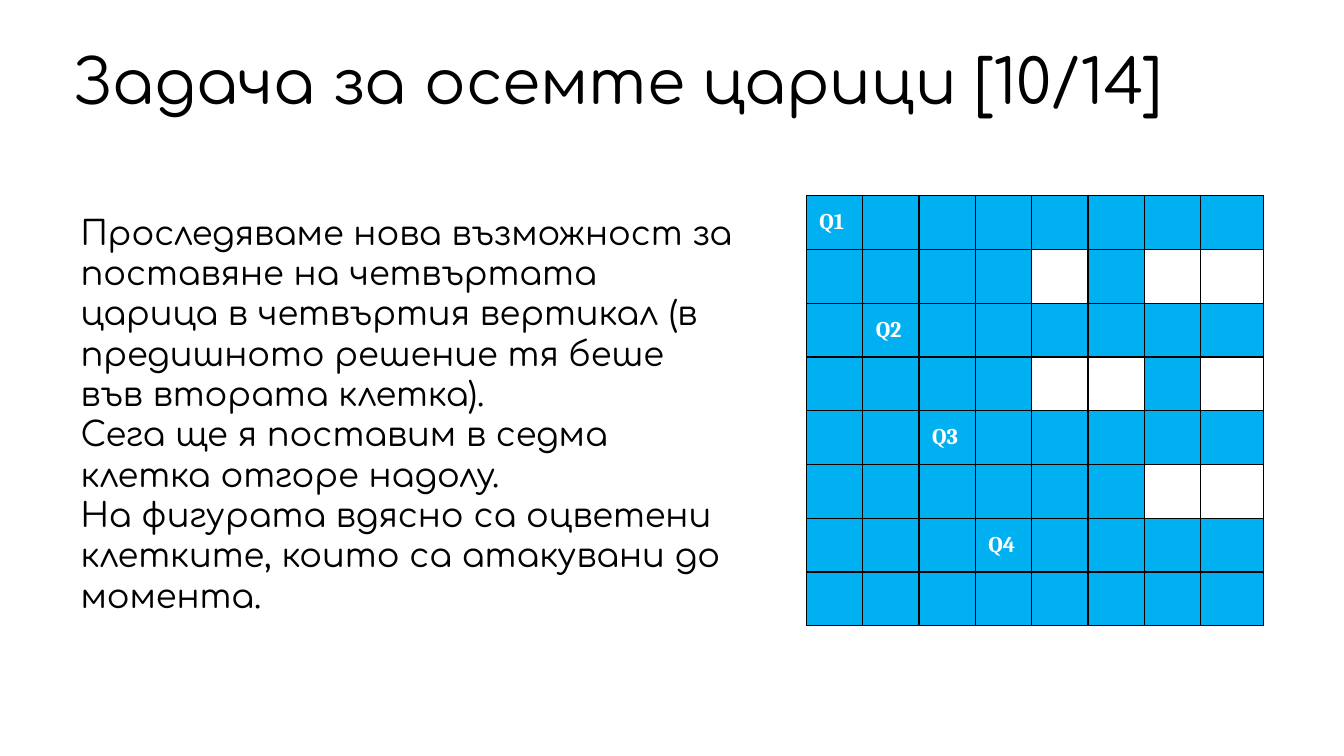
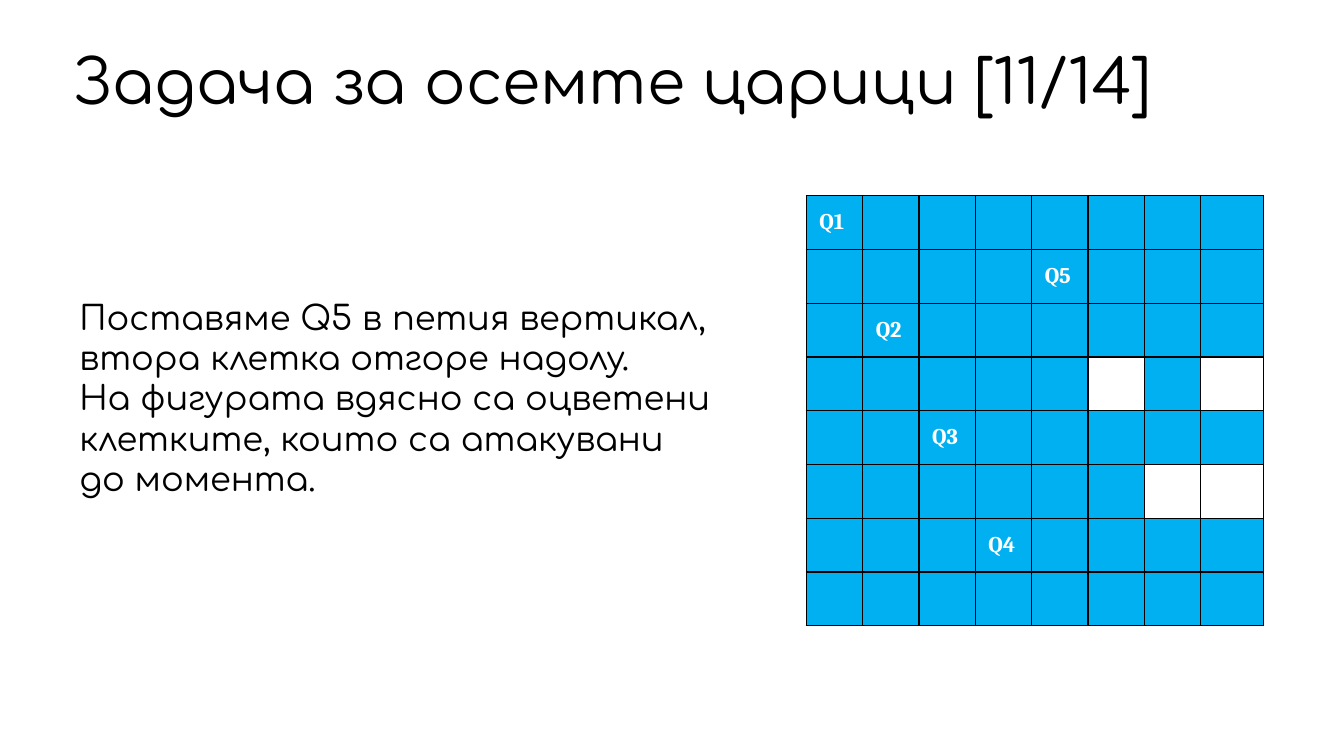
from collections import namedtuple
from dataclasses import dataclass

from lxml.etree import SubElement as Sub
from pptx import Presentation
from pptx.dml.color import RGBColor as Rgb
from pptx.enum.text import MSO_ANCHOR as Anchor, MSO_AUTO_SIZE as Auto, PP_ALIGN as Align
from pptx.oxml.ns import qn
from pptx.util import Cm, Pt

Box = namedtuple("Box", "x y w h")


@dataclass(frozen=True)
class Theme:
    ink: Rgb = Rgb(0, 0, 0)
    hit: Rgb = Rgb(0x00, 0xB0, 0xF0)
    free: Rgb = Rgb(255, 255, 255)
    mark: Rgb = Rgb(255, 255, 255)
    face: str = "Comfortaa"
    serif: str = "Cambria"
    head: int = 44
    body: int = 24
    cell: int = 16


LOOK = Theme()
SIZE = 8
HEAD = Box(1.55, 1.07, 30.78, 2.13)
BOARD = Box(20.32, 4.93, 11.53, 10.84)
COL = 1.42  # the last column takes the rest of the width
PAD = 0.33
TITLE = "Задача за осемте царици [{}/14]"
NOTE = "На фигурата вдясно са оцветени клетките, които са атакувани до момента."

# Queens as (row, column), in the order they are placed
FOUR = [(0, 0), (2, 1), (4, 2), (6, 3)]
PAGES = [
    (10, Box(1.73, 5.23, 17.07, 11.3), FOUR, [
        "Проследяваме нова възможност за поставяне на четвъртата царица в "
        "четвъртия вертикал (в предишното решение тя беше във втората клетка).",
        "Сега ще я поставим в седма клетка отгоре надолу.",
        NOTE,
    ]),
    (11, Box(1.7, 7.37, 16.51, 6.53), FOUR + [(1, 4)], [
        "Поставяме Q5 в петия вертикал, втора клетка отгоре надолу.",
        NOTE,
    ]),
]


def style(run, face, size, color, bold=False):
    font = run.font
    font.name, font.size, font.bold = face, Pt(size), bold
    font.color.rgb = color


def fill_in(shape, box, lines, size, anchor, gap):
    """Place a placeholder and write its paragraphs without bullets."""
    shape.left, shape.top, shape.width, shape.height = map(Cm, box)
    frame = shape.text_frame
    frame.word_wrap, frame.auto_size = True, Auto.NONE
    frame.vertical_anchor = anchor
    frame.margin_left = frame.margin_right = Cm(0.3)
    frame.margin_top = frame.margin_bottom = Cm(0.1)
    for num, line in enumerate(lines):
        para = frame.add_paragraph() if num else frame.paragraphs[0]
        props = para._p.get_or_add_pPr()
        props.set("marL", "0")
        props.set("indent", "0")
        Sub(props, qn("a:buNone"))
        para.alignment = Align.LEFT
        para.line_spacing = gap
        para.space_before = Pt(0)
        run = para.add_run()
        run.text = line
        style(run, LOOK.face, size, LOOK.ink)


def edge(cell):
    """Draw a thin line on all four sides, ahead of the cell's fill."""
    props = cell._tc.get_or_add_tcPr()
    for num, side in enumerate(("lnL", "lnR", "lnT", "lnB")):
        line = Sub(props, qn("a:" + side), w=str(Pt(1)))
        Sub(Sub(line, qn("a:solidFill")), qn("a:srgbClr"), val=str(LOOK.ink))
        props.insert(num, line)


def struck(row, col, queens):
    """Tell whether any queen holds or attacks the square."""
    return any(row == r or col == c or abs(row - r) == abs(col - c)
               for r, c in queens)


def board(slide, box, queens):
    """Draw the chessboard, with the attacked squares coloured."""
    frame = slide.shapes.add_table(SIZE, SIZE, *map(Cm, box))
    grid = frame.table
    grid.first_row = grid.horz_banding = False
    for num in range(SIZE):
        last = num == SIZE - 1
        grid.columns[num].width = Cm(box.w - COL * num if last else COL)
        grid.rows[num].height = Cm(box.h / SIZE)
    for row in range(SIZE):
        for col in range(SIZE):
            cell = grid.cell(row, col)
            cell.fill.solid()
            cell.fill.fore_color.rgb = LOOK.hit if struck(row, col, queens) else LOOK.free
            edge(cell)
    # Queen labels
    for num, spot in enumerate(queens, 1):
        cell = grid.cell(*spot)
        cell.vertical_anchor = Anchor.MIDDLE
        cell.margin_left = cell.margin_right = Cm(PAD)
        run = cell.text_frame.paragraphs[0].add_run()
        run.text = f"Q{num}"
        style(run, LOOK.serif, LOOK.cell, LOOK.mark, True)


def page(deck, num, box, queens, lines):
    """Add one step of the solution: title, text and board."""
    slide = deck.slides.add_slide(deck.slide_layouts[1])
    fill_in(slide.shapes.title, HEAD, [TITLE.format(num)], LOOK.head, Anchor.MIDDLE, 0.9)
    fill_in(slide.placeholders[1], box, lines, LOOK.body, Anchor.TOP, 1.0)
    board(slide, BOARD, queens)


def main():
    deck = Presentation()
    deck.slide_width, deck.slide_height = Cm(33.87), Cm(19.05)
    for step in PAGES:
        page(deck, *step)
    deck.save("out.pptx")


if __name__ == "__main__":
    main()
